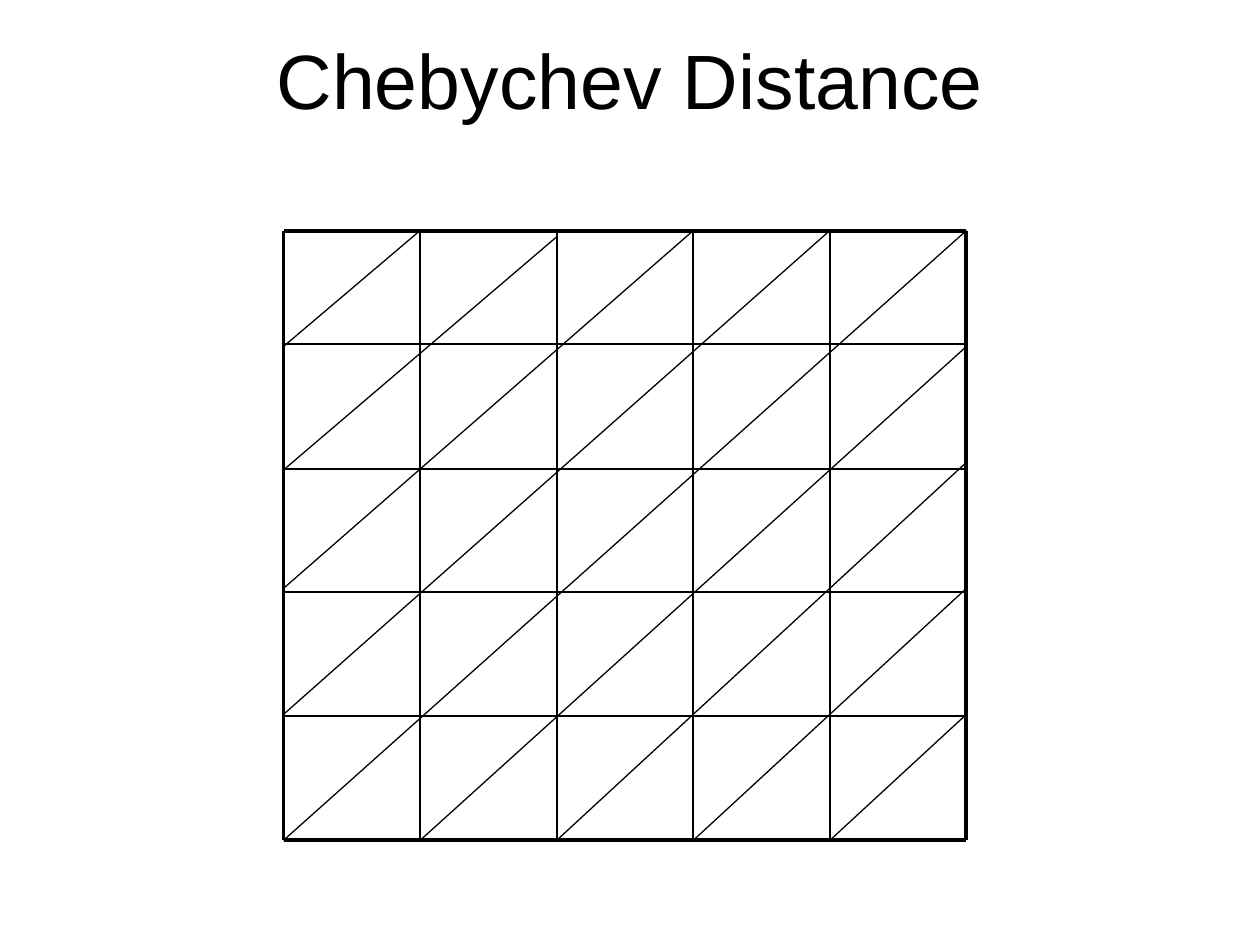
from lxml import etree
from pptx import Presentation
from pptx.dml.color import RGBColor
from pptx.enum.shapes import MSO_CONNECTOR
from pptx.enum.text import MSO_ANCHOR, PP_ALIGN
from pptx.oxml.ns import qn
from pptx.util import Inches, Pt

STRAIGHT = MSO_CONNECTOR.STRAIGHT
MIDDLE = MSO_ANCHOR.MIDDLE
CENTER = PP_ALIGN.CENTER
BLACK = RGBColor(0x00, 0x00, 0x00)

LEFT, RIGHT, TOP, BOTTOM = 2.25, 7.67, 1.83, 6.67
CELLS = 5
OUTER, INNER, DIAGONAL = 2.25, 1, 0.75

prs = Presentation()
prs.slide_width, prs.slide_height = Inches(10), Inches(7.5)
slide = prs.slides.add_slide(prs.slide_layouts[6])


def add_text(text, left, top, width, height, size, font="Arial", color=BLACK, align=CENTER):
    box = slide.shapes.add_textbox(Inches(left), Inches(top), Inches(width), Inches(height))
    frame = box.text_frame
    frame.word_wrap = True
    frame.vertical_anchor = MIDDLE
    paragraph = frame.paragraphs[0]
    paragraph.text = text
    paragraph.alignment = align
    paragraph.font.size = Pt(size)
    paragraph.font.name = font
    paragraph.font.color.rgb = color


def add_line(x1, y1, x2, y2, width):
    line = grid.shapes.add_connector(STRAIGHT, Inches(x1), Inches(y1), Inches(x2), Inches(y2))
    line.line.color.rgb = BLACK
    line.line.width = Pt(width)
    etree.SubElement(line._element.spPr, qn("a:effectLst"))


add_text("Chebychev Distance", 0.5, 0, 9, 1.25, size=44)

grid = slide.shapes.add_group_shape()
column_width = (RIGHT - LEFT) / CELLS
columns = [LEFT + i * column_width for i in range(CELLS + 1)]
# The top row is slightly shorter than the other four
rows = [TOP, 2.73, 3.72, 4.7, 5.68, BOTTOM]
weights = [OUTER] + [INNER] * (CELLS - 1) + [OUTER]

for y, weight in zip(rows, weights):
    add_line(LEFT, y, RIGHT, y, weight)
for x, weight in zip(columns, weights):
    add_line(x, TOP, x, BOTTOM, weight)

# Diagonals from the top edge to the left edge, then from the right edge to the bottom
top_ends = [TOP, 1.88, TOP, TOP, TOP]
left_ends = [2.75, 3.73, 4.67, 5.67, BOTTOM]
for x, top_y, left_y in zip(columns[1:], top_ends, left_ends):
    add_line(x, top_y, LEFT, left_y, DIAGONAL)

right_ends = [2.75, 3.67, 4.67, 5.67]
for x, right_y in zip(columns[1:], right_ends):
    add_line(RIGHT, right_y, x, BOTTOM, DIAGONAL)

prs.save("out.pptx")
